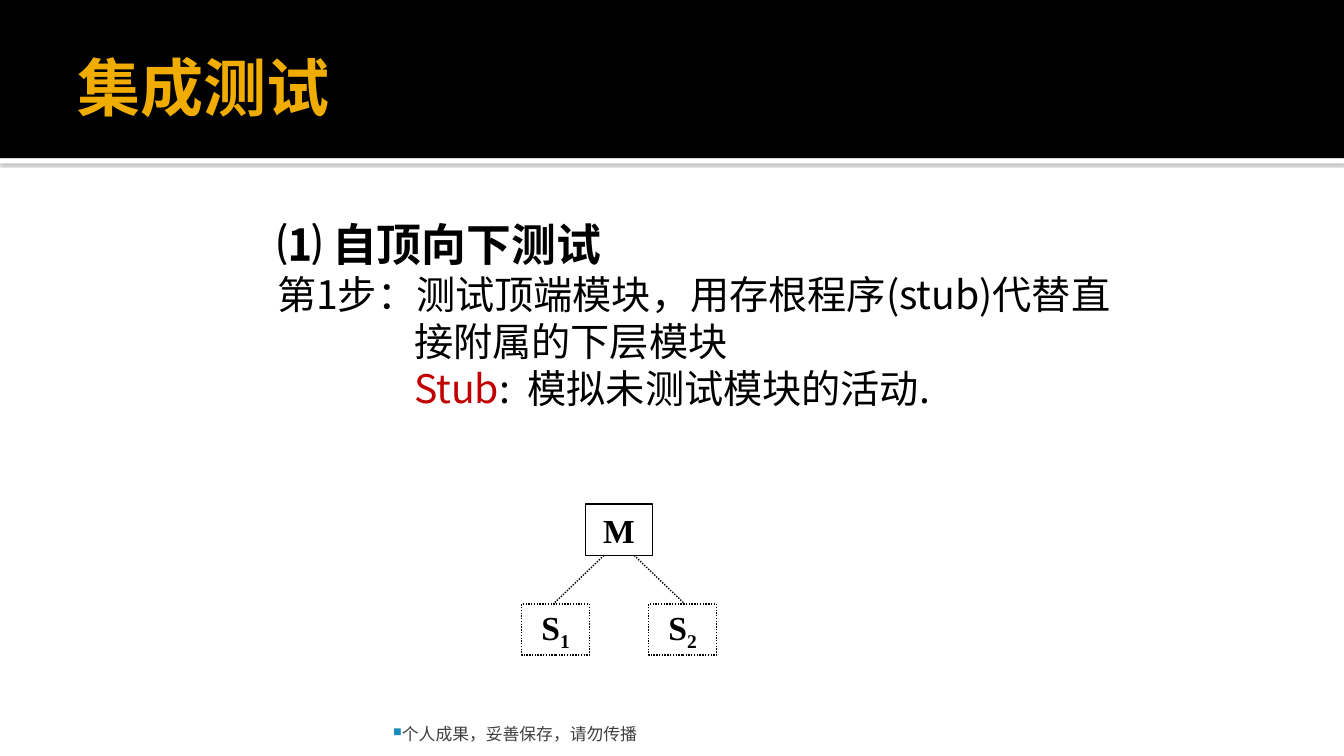
import pptx
import pptx.util
import pptx.dml.color
import pptx.enum.dml
import pptx.enum.shapes
import pptx.enum.text
import pptx.oxml
import pptx.oxml.ns

RGBColor = pptx.dml.color.RGBColor
BLACK = RGBColor(0, 0, 0)
WHITE = RGBColor(255, 255, 255)
GOLD = RGBColor(0xF0, 0xAD, 0x00)
RED = RGBColor(0xC0, 0, 0)
GRAY = RGBColor(0x3F, 0x3F, 0x3F)
CJK, LATIN, SERIF = "Noto Sans CJK SC", "Cabin", "Times New Roman"
WIDTH, HEIGHT = 13.33, 7.5
BAND = 1.57
BOX_W, BOX_H = 0.67, 0.51
MID, TOP, STEP_X, STEP_Y = 6.14, 5.0, 0.63, 0.99
DOT = pptx.enum.dml.MSO_LINE.ROUND_DOT
RECT = pptx.enum.shapes.MSO_SHAPE.RECTANGLE
ANCHOR = pptx.enum.text.MSO_ANCHOR
NS = pptx.oxml.ns.nsdecls("a")


def inches(*values):
    return [pptx.util.Inches(v) for v in values]


def assign(obj, values):
    for name, value in values.items():
        setattr(obj, name, value)


def frame(tf, anchor, margins):
    names = ("margin_left", "margin_top", "margin_right", "margin_bottom")
    assign(tf, dict(zip(names, inches(*margins)), word_wrap=True,
                    vertical_anchor=anchor))


def add_run(p, text, size, font, color, bold=False, baseline=None):
    r = p.add_run()
    r.text = text
    assign(r.font, {"size": pptx.util.Pt(size), "name": font, "bold": bold})
    r.font.color.rgb = color
    rPr = r.font._element
    rPr.append(pptx.oxml.parse_xml(f'<a:ea {NS} typeface="{CJK}"/>'))
    if baseline:
        rPr.set("baseline", str(baseline))


def style_line(line, dash):
    line.color.rgb = BLACK
    line.width = pptx.util.Pt(1)
    if dash:
        line.dash_style = dash


def add_bar(slide, order, top, height, color):
    sp = slide.shapes.add_shape(RECT, *inches(0, top, WIDTH, height))
    sp.shadow.inherit = False
    sp.fill.solid()
    sp.fill.fore_color.rgb = color
    sp.line.fill.background()
    slide.shapes._spTree.insert(2 + order, sp._element)
    return sp


def add_header(slide):
    bar = add_bar(slide, 0, BAND, 0.05, WHITE)
    effects = bar._element.spPr.find(pptx.oxml.ns.qn("a:effectLst"))
    effects.append(pptx.oxml.parse_xml(
        f'<a:outerShdw {NS} blurRad="31750" dist="10160" dir="5400000">'
        '<a:srgbClr val="808080"><a:alpha val="60000"/></a:srgbClr></a:outerShdw>'))
    add_bar(slide, 1, 0, BAND, BLACK)


def add_title(slide, text):
    sp = slide.shapes.title
    assign(sp, dict(zip(("left", "top", "width", "height"), inches(0.67, 0.17, 12, 1.37))))
    tf = sp.text_frame
    frame(tf, ANCHOR.MIDDLE, (0.1, 0.05, 0.05, 0.05))
    p = tf.paragraphs[0]
    p.alignment = pptx.enum.text.PP_ALIGN.LEFT
    add_run(p, text, 45, LATIN, GOLD, True)


def add_body(slide, paragraphs):
    tf = slide.shapes.add_textbox(*inches(2.65, 2.1, 8.5, 2.67)).text_frame
    frame(tf, ANCHOR.TOP, (0.1, 0.05, 0.1, 0.05))
    for i, runs in enumerate(paragraphs):
        p = tf.add_paragraph() if i else tf.paragraphs[0]
        indent = pptx.util.Inches(1.36)
        pPr = p._p.get_or_add_pPr()
        pPr.set("marL", str(indent))
        pPr.set("indent", str(-indent))
        for text, size, color, bold in runs:
            add_run(p, text, size, CJK, color, bold)


def add_footer(slide, text):
    tf = slide.shapes.add_textbox(*inches(3.85, 7.08, 8.03, 0.3)).text_frame
    frame(tf, ANCHOR.BOTTOM, (0.05, 0.05, 0.05, 0))
    p = tf.paragraphs[0]
    p.line_spacing = 0.8
    pPr = p._p.get_or_add_pPr()
    for xml in (f'<a:buClr {NS}><a:srgbClr val="168BBA"/></a:buClr>',
                f'<a:buSzPct {NS} val="70000"/>',
                f'<a:buChar {NS} char="■"/>'):
        pPr.append(pptx.oxml.parse_xml(xml))
    add_run(p, text, 12, LATIN, GRAY)


def add_module(slide, column, row, name, number="", dash=None):
    left = MID + column * STEP_X - BOX_W / 2
    sp = slide.shapes.add_shape(RECT, *inches(left, TOP + row * STEP_Y, BOX_W, BOX_H))
    sp.shadow.inherit = False
    sp.fill.background()
    style_line(sp.line, dash)
    frame(sp.text_frame, ANCHOR.MIDDLE, (0.1, 0.05, 0.1, 0.05))
    p = sp.text_frame.paragraphs[0]
    p.alignment = pptx.enum.text.PP_ALIGN.CENTER
    add_run(p, name, 24, SERIF, BLACK, True)
    if number:
        add_run(p, number, 24, SERIF, BLACK, True, -25000)


def add_link(slide, side):
    ends = inches(MID + side * 0.15, TOP + BOX_H, MID + side * 0.65, TOP + STEP_Y)
    cxn = slide.shapes.add_connector(pptx.enum.shapes.MSO_CONNECTOR.STRAIGHT, *ends)
    style_line(cxn.line, DOT)
    cxn._element.spPr.append(pptx.oxml.parse_xml(f"<a:effectLst {NS}/>"))


def main():
    prs = pptx.Presentation()
    prs.slide_width, prs.slide_height = inches(WIDTH, HEIGHT)
    slide = prs.slides.add_slide(prs.slide_layouts[5])
    add_header(slide)
    add_title(slide, "集成测试")
    add_body(slide, [
        [("⑴ 自顶向下测试", 32, BLACK, True)],
        [("第1步：测试顶端模块，用存根程序(stub)代替直接附属的下层模块", 28, BLACK, False)],
        [("\tStub", 28, RED, False), (":  模拟未测试模块的活动.", 28, BLACK, False)],
    ])
    add_footer(slide, "个人成果，妥善保存，请勿传播")
    add_module(slide, 0, 0, "M")
    for side, number in ((-1, "1"), (1, "2")):
        add_module(slide, side, 1, "S", number, DOT)
        add_link(slide, side)
    prs.save("out.pptx")


main()
